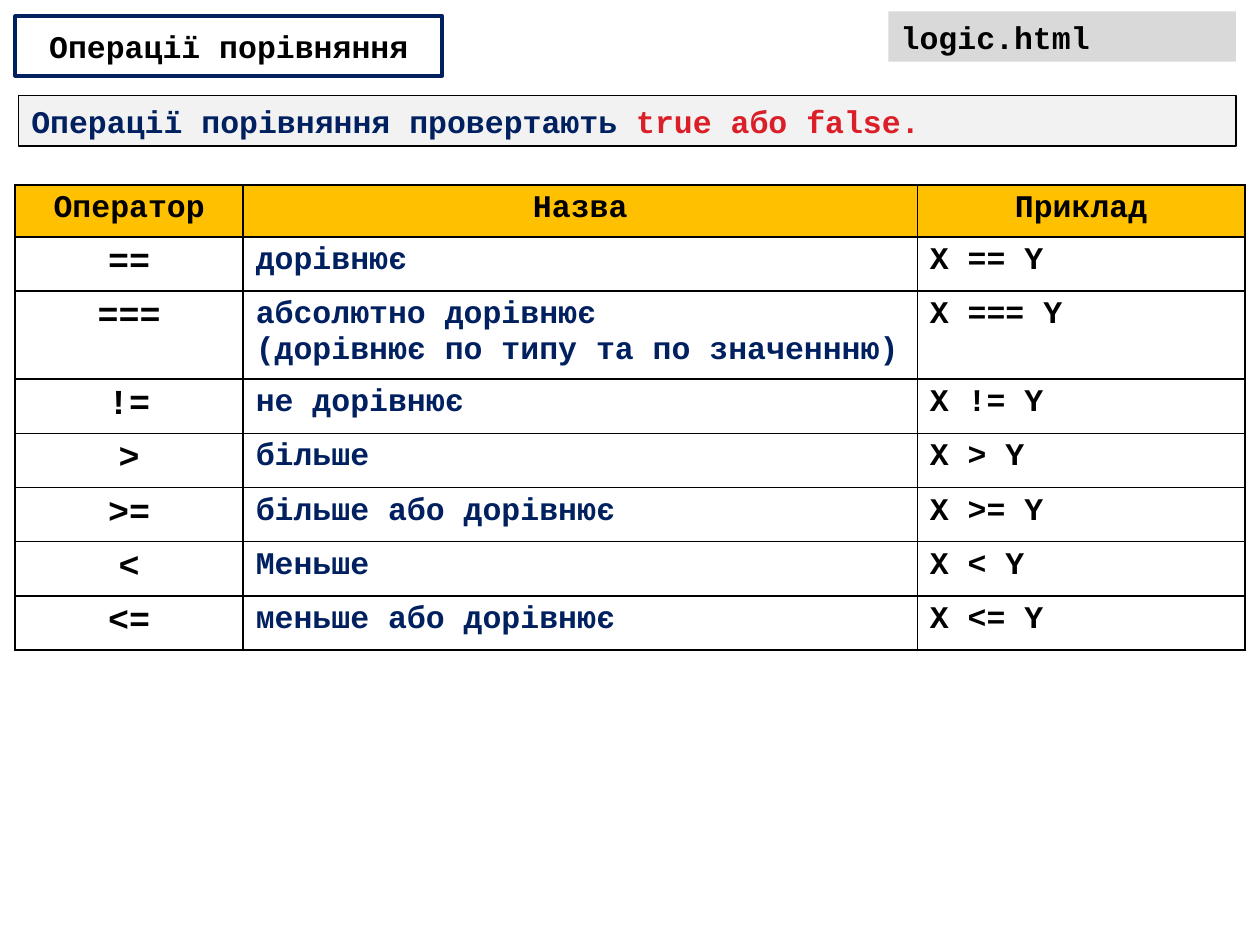
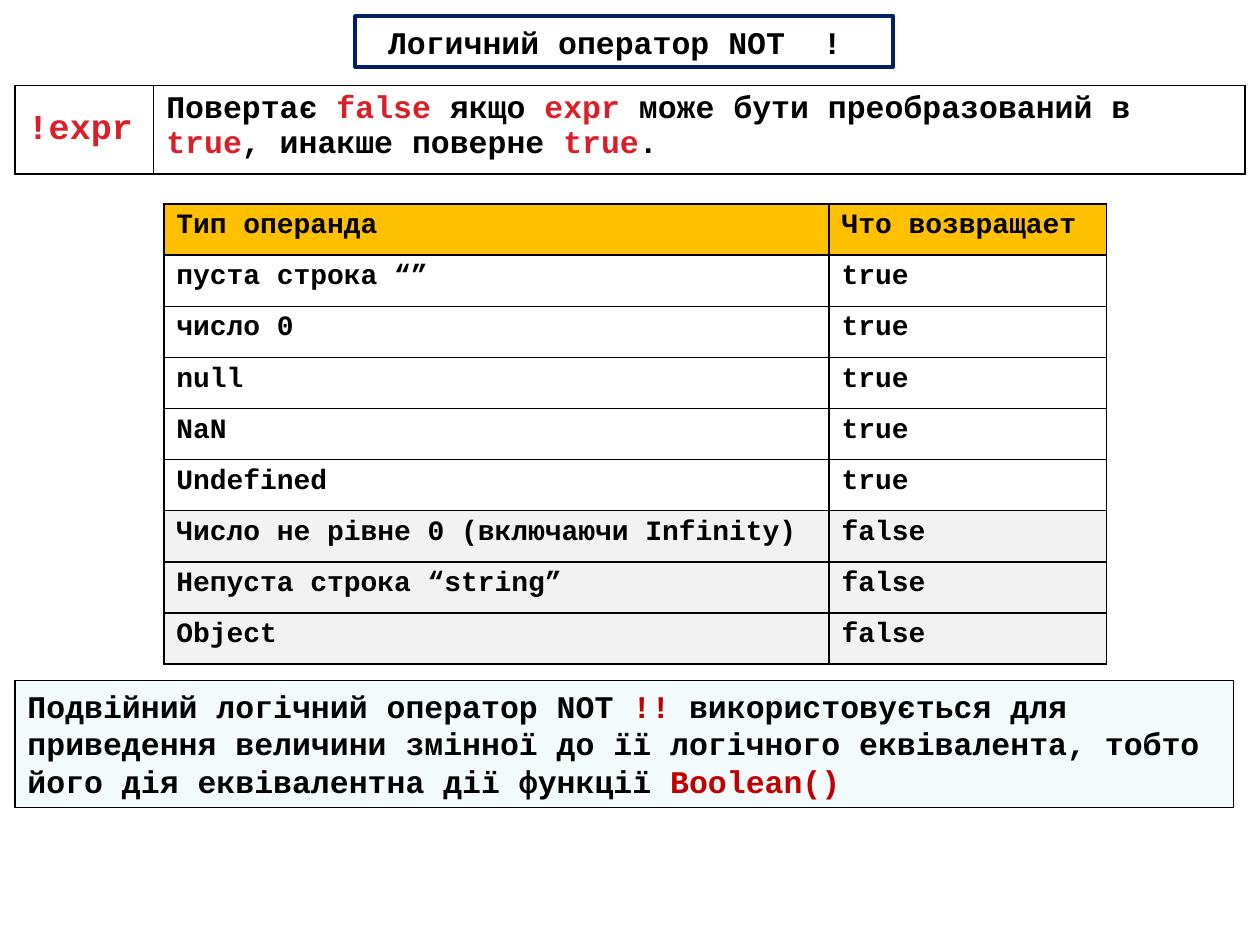
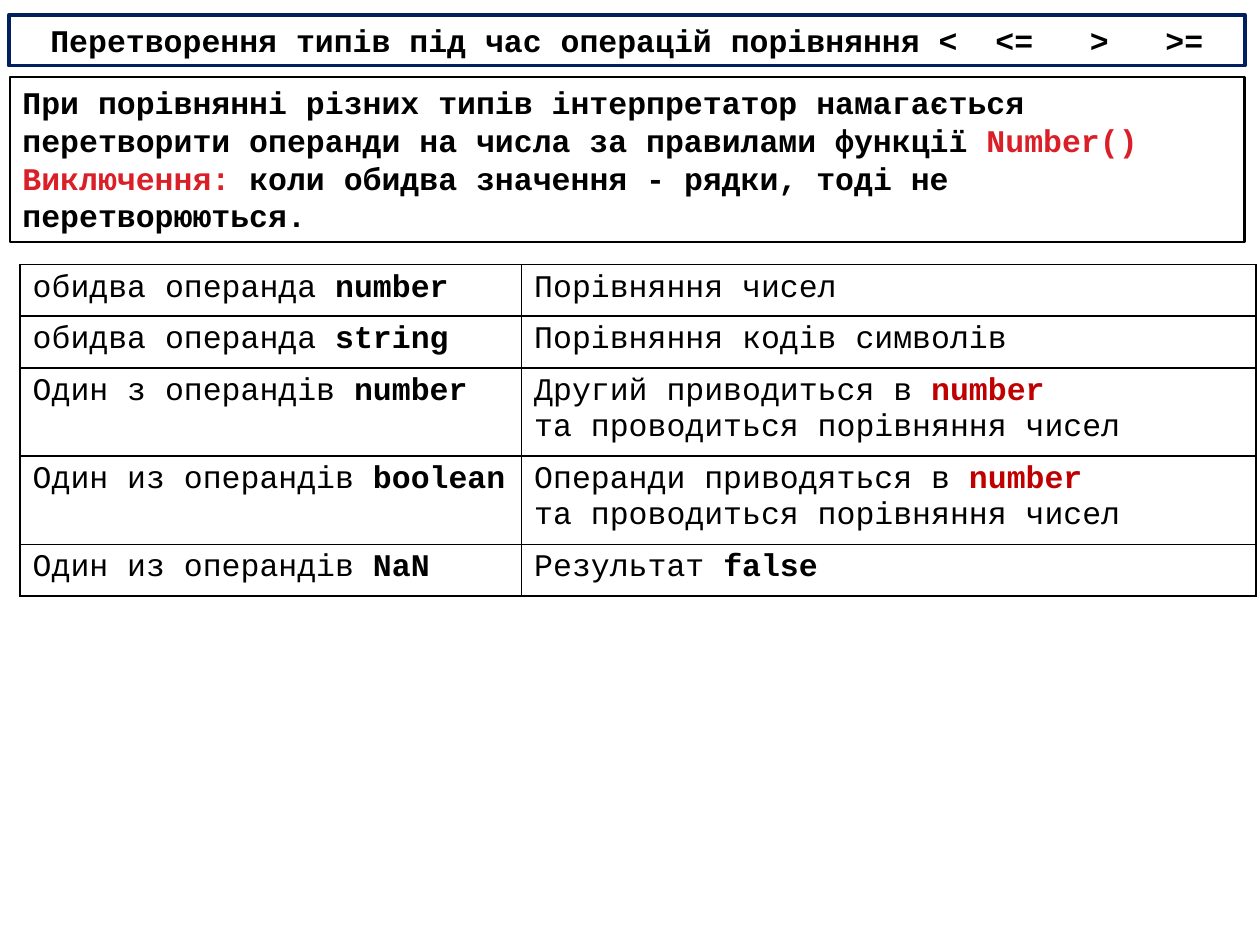
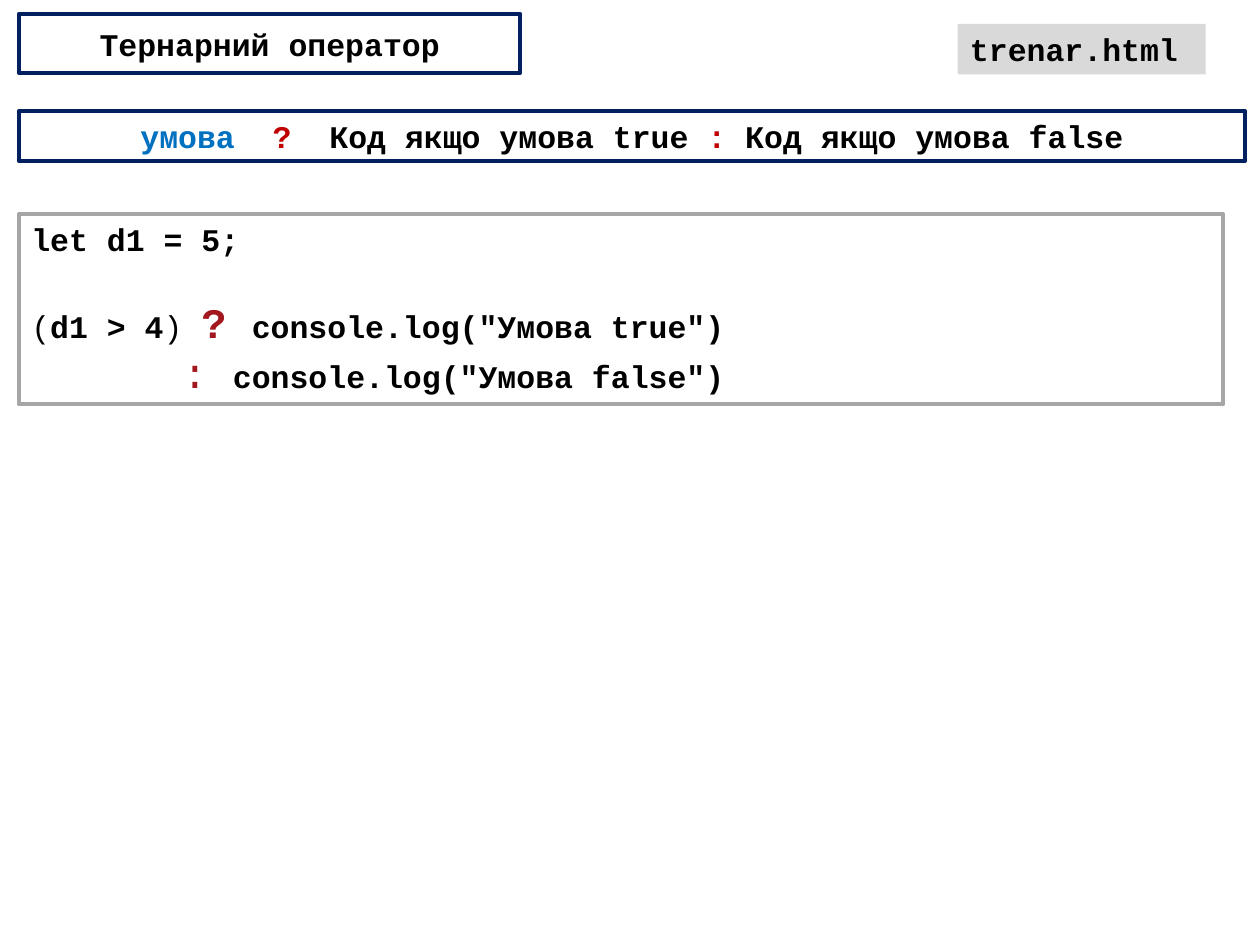
from dataclasses import dataclass

from lxml import etree
from pptx import Presentation
from pptx.dml.color import RGBColor
from pptx.enum.text import MSO_ANCHOR as Anchor, MSO_AUTO_SIZE as AutoSize, PP_ALIGN as Align
from pptx.oxml.ns import qn
from pptx.util import Inches, Pt


@dataclass(frozen=True)
class Theme:
    font: str = "Courier New"
    black: str = "000000"
    navy: str = "002060"
    white: str = "FFFFFF"
    header: str = "FFC000"
    tag: str = "D9D9D9"
    pale: str = "F2F2F2"
    aqua: str = "7ACBE0"
    gray: str = "A6A6A6"
    red: str = "DA1F28"
    dark_red: str = "C00000"
    code_red: str = "A3171E"
    blue: str = "0070C0"
    small: int = 16
    body: int = 18
    operator: int = 20
    code_mark: int = 24
    code_gap: float = 21.6
    thin: float = 0.75
    grid: float = 1
    medium: float = 1.5
    thick: float = 2.25


T = Theme()

# style: colour, size, bold
STYLES = {
    "bold": (T.black, T.body, True),
    "plain": (T.black, T.body, False),
    "small": (T.black, T.small, True),
    "operator": (T.black, T.operator, True),
    "expression": (T.red, T.operator, True),
    "navy": (T.navy, T.body, True),
    "red": (T.red, T.body, True),
    "dark red": (T.dark_red, T.body, True),
    "blue": (T.blue, T.body, True),
    "question": (T.code_red, T.code_mark, True),
    "colon": (T.code_red, T.code_mark, False),
}

# Text is a string or a list of paragraphs; a paragraph is a list of runs;
# a run is a string in the default style or a (string, style) pair.
COMPARISON_HEAD = ["Оператор", "Назва", "Приклад"]
COMPARISONS = [
    ("==", "дорівнює"),
    ("===", [["абсолютно дорівнює"], ["(дорівнює по типу та по значеннню)"]]),
    ("!=", "не дорівнює"),
    (">", "більше"),
    (">=", "більше або дорівнює"),
    ("<", "Меньше"),
    ("<=", "меньше або дорівнює"),
]
COMPARISON_NOTE = [[("Операції порівняння провертають ", "navy"), ("true або false.", "red")]]

NOT_RULE = [[
    "Повертає ", ("false ", "red"), "якщо ", ("expr ", "red"),
    "може бути преобразований в ", ("true", "red"),
    ", инакше поверне ", ("true", "red"), ".",
]]
NOT_HEAD = ["Тип операнда", "Что возвращает"]
NOT_RESULTS = {
    "true": ["пуста строка “”", "число 0", "null", "NaN", "Undefined"],
    "false": ["Число не рівне 0 (включаючи Infinity)", "Непуста строка “string”", "Object"],
}
DOUBLE_NOT = [[
    "Подвійний логічний оператор NOT ", ("!! ", "dark red"),
    "використовується для приведення величини змінної до її логічного еквівалента, "
    "тобто його дія еквівалентна дії функції ", ("Boolean()", "dark red"),
]]

CONVERSION_NOTE = [
    ["При порівнянні різних типів інтерпретатор намагається перетворити операнди "
     "на числа за правилами функції ", ("Number()", "red")],
    [("Виключення: ", "red"), "коли обидва значення - рядки, тоді не перетворюються."],
]
AS_NUMBERS = ["та проводиться порівняння чисел"]
CONVERSIONS = [
    ("обидва операнда ", "number", "Порівняння чисел"),
    ("обидва операнда ", "string", "Порівняння кодів символів"),
    ("Один з операндів ", "number",
     [["Другий приводиться в ", ("number", "dark red")], AS_NUMBERS]),
    ("Один из операндів ", "boolean",
     [["Операнди приводяться в ", ("number", "dark red")], AS_NUMBERS]),
    ("Один из операндів ", "NaN", [["Результат ", ("false", "bold")]]),
]

TERNARY_FORM = [[
    ("умова  ", "blue"), ("?  ", "dark red"), "Код якщо умова true ",
    (": ", "dark red"), "Код якщо умова false",
]]
TERNARY_CODE = [
    ["let d1 = 5;"],
    [("(", "plain"), "d1 > 4", (") ", "plain"), ("? ", "question"),
     'console.log("Умова true")'],
    [(": ", "colon"), 'console.log("Умова false")'],
]

ROW, OPERATOR_ROW, DOUBLE_ROW = 0.41, 0.43, 0.7
NOT_TABLE_HEIGHT = 3.65


def rgb(value):
    return RGBColor.from_string(value)


def write(tf, text, style="bold", align=Align.LEFT):
    paragraphs = [[text]] if isinstance(text, str) else text
    for i, runs in enumerate(paragraphs):
        p = tf.paragraphs[0] if i == 0 else tf.add_paragraph()
        p.alignment = align
        for run in runs:
            words, name = (run, style) if isinstance(run, str) else run
            color, size, bold = STYLES[name]
            r = p.add_run()
            r.text = words
            r.font.name, r.font.size, r.font.bold = T.font, Pt(size), bold
            r.font.color.rgb = rgb(color)


def paint(sp, fill=None, line=None, width=T.thick):
    if fill:
        sp.fill.solid()
        sp.fill.fore_color.rgb = rgb(fill)
    if line:
        sp.line.color.rgb = rgb(line)
        sp.line.width = Pt(width)


def add_box(s, at, text, fill=None, line=None, width=T.thick):
    """Add a text box that grows with its text."""
    sp = s.shapes.add_textbox(*map(Inches, at))
    paint(sp, fill, line, width)
    tf = sp.text_frame
    tf.word_wrap, tf.auto_size = True, AutoSize.SHAPE_TO_FIT_TEXT
    write(tf, text)
    return sp


def frame(sp, at, text):
    """Give a shape the navy frame and centred text of the headings."""
    sp.left, sp.top, sp.width, sp.height = map(Inches, at)
    paint(sp, T.white, T.navy)
    tf = sp.text_frame
    tf.word_wrap, tf.auto_size, tf.vertical_anchor = True, AutoSize.NONE, Anchor.MIDDLE
    write(tf, text, align=Align.CENTER)


def add_slide(prs, title, at):
    s = prs.slides.add_slide(prs.slide_layouts[5])
    frame(s.shapes.title, at, title)
    return s


def set_alpha(sp, percent):
    color = sp.fill._xPr.find(f"{qn('a:solidFill')}/{qn('a:srgbClr')}")
    etree.SubElement(color, qn("a:alpha"), val=str(percent * 1000))


def add_borders(cell):
    tc_pr = cell._tc.get_or_add_tcPr()
    for i, side in enumerate(("lnL", "lnR", "lnT", "lnB")):
        ln = etree.Element(qn(f"a:{side}"), w=str(Pt(T.grid)))
        fill = etree.SubElement(ln, qn("a:solidFill"))
        etree.SubElement(fill, qn("a:srgbClr"), val=T.black)
        tc_pr.insert(i, ln)


def add_grid(s, left, top, widths, heights, rows, styles, fills=None, centered=()):
    """Add a bordered table; styles go by column, fills by row.

    Cells named in centered, as (row, column), have centred text.
    """
    size = Inches(sum(widths)), Inches(sum(heights))
    table = s.shapes.add_table(len(rows), len(widths), Inches(left), Inches(top), *size).table
    table.first_row = table.horz_banding = False
    for column, width in zip(table.columns, widths):
        column.width = Inches(width)
    for r, (row, height) in enumerate(zip(rows, heights)):
        table.rows[r].height = Inches(height)
        for c, text in enumerate(row):
            cell = table.cell(r, c)
            if fills and fills[r]:
                cell.fill.solid()
                cell.fill.fore_color.rgb = rgb(fills[r])
            else:
                cell.fill.background()
            add_borders(cell)
            align = Align.CENTER if (r, c) in centered else Align.LEFT
            write(cell.text_frame, text, styles[c], align)
    return table


def comparison_slide(prs):
    s = add_slide(prs, "Операції порівняння", (0.12, 0.13, 3.39, 0.47))
    head = [[[(name, "bold")]] for name in COMPARISON_HEAD]
    rows = [head] + [(sign, name, f"X {sign} Y") for sign, name in COMPARISONS]
    heights = [ROW] + [OPERATOR_ROW if isinstance(name, str) else DOUBLE_ROW
                       for _, name in COMPARISONS]
    centered = [(0, c) for c in range(3)] + [(r, 0) for r in range(1, len(rows))]
    add_grid(s, 0.12, 1.47, (1.81, 5.35, 2.6), heights, rows, ("operator", "navy", "bold"),
             [T.header] + [None] * len(COMPARISONS), centered)
    add_box(s, (7.05, 0.09, 2.76, 0.4), "logic.html", T.tag)
    add_box(s, (0.15, 0.76, 9.66, 0.4), COMPARISON_NOTE, T.pale, T.black, T.thin)


def not_slide(prs):
    s = add_slide(prs, "Логичний оператор NOT  ! ", (2.82, 0.13, 4.27, 0.4))
    results = [(kind, result) for result, kinds in NOT_RESULTS.items() for kind in kinds]
    fills = [T.header] + [T.pale if result == "false" else None for _, result in results]
    rows = [NOT_HEAD] + results
    heights = [NOT_TABLE_HEIGHT / len(rows)] * len(rows)
    add_grid(s, 1.3, 1.62, (5.28, 2.2), heights, rows, ("small", "small"), fills)
    note = add_box(s, (0.12, 5.4, 9.67, 1.01), DOUBLE_NOT, T.aqua, T.black, T.thin)
    set_alpha(note, 9)
    rule = add_grid(s, 0.12, 0.68, (1.1, 8.66), [DOUBLE_ROW], [("!expr", NOT_RULE)],
                    ("expression", "bold"))
    rule.cell(0, 0).vertical_anchor = Anchor.MIDDLE


def conversion_slide(prs):
    s = add_slide(prs, "Перетворення типів під час операцій порівняння <  <=   >   >=",
                  (0.07, 0.12, 9.81, 0.4))
    rows = [([[operands, (kind, "bold")]], action) for operands, kind, action in CONVERSIONS]
    heights = [DOUBLE_ROW if len(action) == 2 else ROW for _, action in rows]
    add_grid(s, 0.16, 2.1, (3.98, 5.83), heights, rows, ("plain", "plain"))
    add_box(s, (0.08, 0.61, 9.8, 1.31), CONVERSION_NOTE, line=T.black, width=T.medium)


def ternary_slide(prs):
    s = add_slide(prs, "Тернарний оператор", (0.15, 0.11, 3.98, 0.47))
    at = (0.15, 0.88, 9.73, 0.4)
    frame(s.shapes.add_textbox(*map(Inches, at)), at, TERNARY_FORM)
    code = add_box(s, (0.15, 1.7, 9.56, 1.51), TERNARY_CODE, line=T.gray)
    _, condition, otherwise = code.text_frame.paragraphs
    condition.space_before = Pt(T.code_gap)
    otherwise._p.get_or_add_pPr().set("marL", str(Inches(1.2)))
    add_box(s, (7.6, 0.19, 1.97, 0.4), "trenar.html", T.tag)


def main():
    prs = Presentation()
    prs.slide_width, prs.slide_height = Inches(10), Inches(7.5)
    for build in (comparison_slide, not_slide, conversion_slide, ternary_slide):
        build(prs)
    prs.save("out.pptx")


if __name__ == "__main__":
    main()
